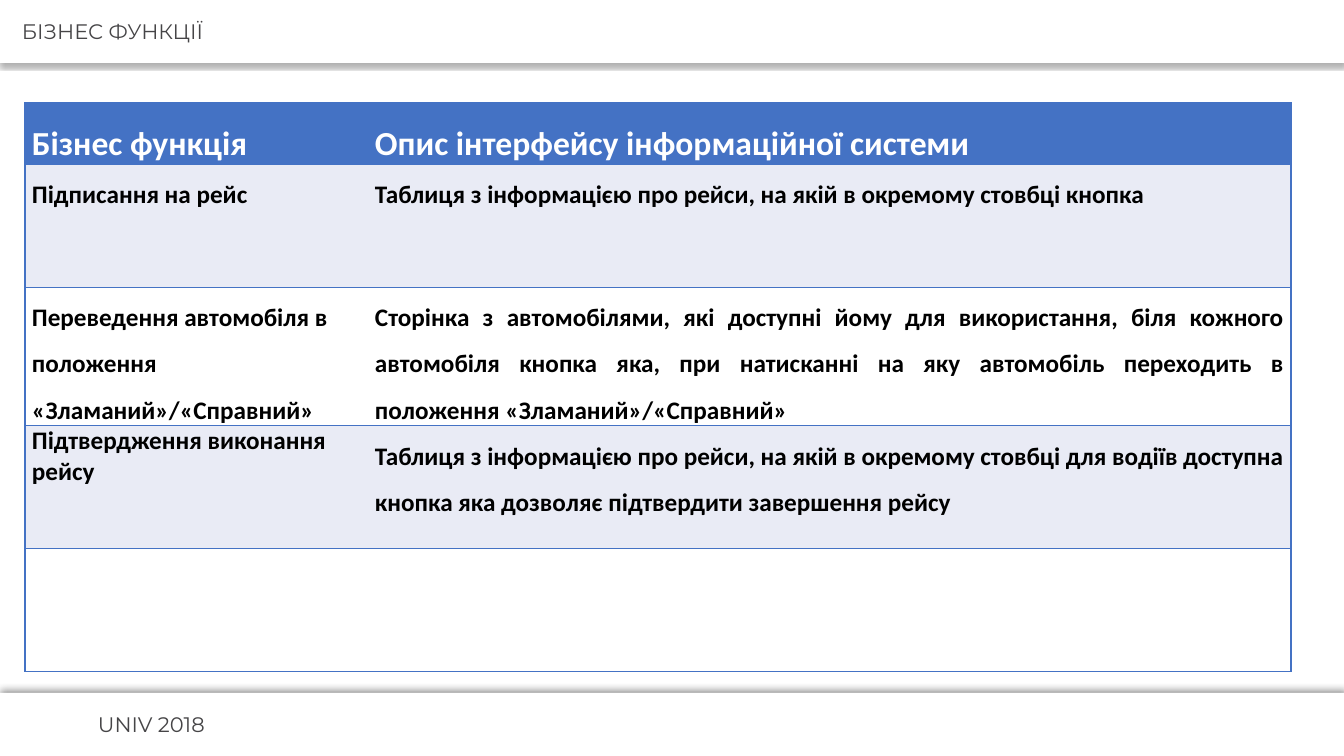
"""Build a slide with a table of business functions between two shadowed bars."""
from dataclasses import dataclass

from lxml import etree
from pptx import Presentation, util as u
from pptx.dml.color import RGBColor
from pptx.enum import shapes, text as t
from pptx.oxml import ns

SCALE = 914400 / 100.8
WIDE, HIGH = 1344, 756
HUES = {"white": "FFFFFF", "black": "000000", "grey": "464547",
        "blue": "4472C4", "pale": "E9EBF5"}
COLS = (343, 923)
LEFT, JUST = t.PP_ALIGN.LEFT, t.PP_ALIGN.JUSTIFY


@dataclass
class Bar:
    label: str
    top: int
    inset: int
    alpha: int
    blur: float
    dist: float
    angle: int


@dataclass
class Row:
    name: str
    note: str
    high: int
    fill: str
    hue: str = "black"
    size: int = 18
    align: t.PP_ALIGN = LEFT
    lead: float = 1.5


BARS = [
    Bar("БІЗНЕС ФУНКЦІЇ", 0, 22, 30, 3.1, 2, 90),
    Bar("UNIV 2018", 693, 98, 40, 4, 3, 270),
]
ROWS = [
    Row("Бізнес функція", "Опис інтерфейсу інформаційної системи",
        57, "blue", "white", 24, JUST),
    Row("Підписання на рейс",
        "Таблиця з інформацією про рейси, на якій в окремому стовбці кнопка",
        123, "pale"),
    Row("Переведення автомобіля в положення «Зламаний»/«Справний»",
        "Сторінка з автомобілями, які доступні йому для використання, біля "
        "кожного автомобіля кнопка яка, при натисканні на яку автомобіль "
        "переходить в положення «Зламаний»/«Справний»", 103, "white"),
    Row("Підтвердження виконання рейсу",
        "Таблиця з інформацією про рейси, на якій в окремому стовбці для "
        "водіїв доступна кнопка яка дозволяє підтвердити завершення рейсу",
        123, "pale", lead=1.0),
    Row("", "", 123, "white"),
]


def px(num: float) -> int:
    return round(num * SCALE)


def paint(fill, hue: str) -> None:
    fill.solid()
    fill.fore_color.rgb = RGBColor.from_string(HUES[hue])


def node(base, tag: str, **attrs):
    keys = {key: str(val) for key, val in attrs.items()}
    return etree.SubElement(base, ns.qn(tag), keys)


def write(frame, words: str, *, face: str, size: int, hue: str, bold=False,
          align=LEFT, lead=1.0, before=0, after=0) -> None:
    para = frame.paragraphs[0]
    para.alignment, para.line_spacing = align, lead
    para.space_before, para.space_after = u.Pt(before), u.Pt(after)
    run = para.add_run()
    run.text = words
    font = run.font
    font.name, font.size, font.bold = face, u.Pt(size), bold
    font.color.rgb = RGBColor.from_string(HUES[hue])


def draw_bar(slide, bar: Bar) -> None:
    box = slide.shapes.add_shape(shapes.MSO_SHAPE.RECTANGLE, 0, px(bar.top),
                                 px(WIDE), px(63))
    paint(box.fill, "white")
    box.line.fill.background()
    box.shadow.inherit = False
    glow = box.element.spPr.find(ns.qn("a:effectLst"))
    shade = node(glow, "a:outerShdw", blurRad=u.Pt(bar.blur),
                 dist=u.Pt(bar.dist), dir=bar.angle * 60000,
                 algn="ctr", rotWithShape=0)
    tint = node(shade, "a:srgbClr", val=HUES["black"])
    node(tint, "a:alpha", val=bar.alpha * 1000)
    frame = box.text_frame
    frame.word_wrap = True
    frame.vertical_anchor = t.MSO_ANCHOR.MIDDLE
    frame.margin_left, frame.margin_right = px(bar.inset), px(6)
    frame.margin_top = frame.margin_bottom = px(3)
    write(frame, bar.label, face="Montserrat", size=15, hue="grey",
          before=3, after=3)


def edge(cell, sides: str) -> None:
    props = cell._tc.get_or_add_tcPr()
    for spot, side in enumerate("LRTB"):
        line = node(props, f"a:ln{side}", w=u.Pt(1))
        if side in sides:
            ink = node(line, "a:solidFill")
            node(ink, "a:srgbClr", val=HUES["blue"])
        else:
            node(line, "a:noFill")
        props.insert(spot, line)


def draw_table(slide) -> None:
    high = sum(row.high for row in ROWS)
    grid = slide.shapes.add_table(len(ROWS), len(COLS), px(25), px(103),
                                  px(sum(COLS)), px(high)).table
    grid.first_row = grid.horz_banding = False
    for col, wide in zip(grid.columns, COLS):
        col.width = px(wide)
    for num, row in enumerate(ROWS):
        grid.rows[num].height = px(row.high)
        pairs = ((row.name, row.align, row.lead, "LTB"),
                 (row.note, JUST, 1.5, "RTB"))
        for col, (words, align, lead, sides) in enumerate(pairs):
            cell = grid.cell(num, col)
            paint(cell.fill, row.fill)
            edge(cell, sides)
            cell.margin_left = cell.margin_right = px(7)
            cell.margin_top = cell.margin_bottom = 0
            if words:
                write(cell.text_frame, words, face="Calibri", size=row.size,
                      hue=row.hue, bold=True, align=align, lead=lead)


def main() -> None:
    deck = Presentation()
    deck.slide_width, deck.slide_height = px(WIDE), px(HIGH)
    slide = deck.slides.add_slide(deck.slide_layouts[6])
    for bar in BARS:
        draw_bar(slide, bar)
    draw_table(slide)
    deck.save("out.pptx")


if __name__ == "__main__":
    main()
